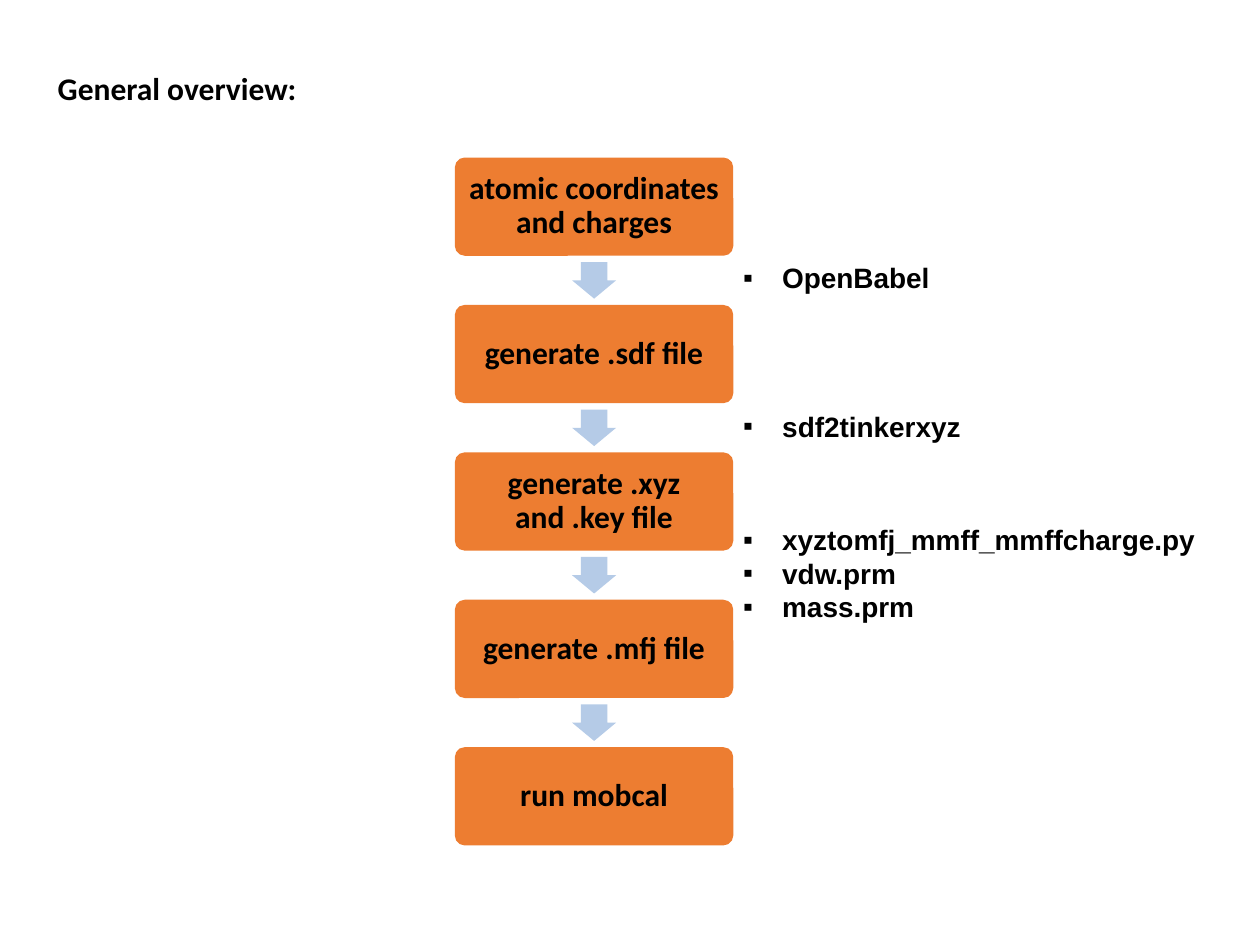
from dataclasses import dataclass

from lxml import etree
from pptx import Presentation
from pptx import util as u
from pptx.dml.color import RGBColor
from pptx.enum import shapes, text
from pptx.oxml.ns import qn

ORANGE = RGBColor(0xED, 0x7D, 0x31)
PALE_BLUE = RGBColor(0xB5, 0xCB, 0xE7)
BLACK = RGBColor(0, 0, 0)

# Grid of the flow chart, in inches
COLUMN_LEFT, COLUMN_WIDTH = 3.61, 2.21
FIRST_ROW, ROW_PITCH, STEP_HEIGHT = 1.25, 1.17, 0.78
ARROW_LENGTH, ARROW_WIDTH = 0.29, 0.35
TOOLS_LEFT, BULLET_INDENT = 5.8, 0.31


@dataclass(frozen=True)
class Step:
    lines: tuple[str, ...]


@dataclass(frozen=True)
class ToolList:
    top: float
    width: float
    height: float
    names: tuple[str, ...]


STEPS = (
    Step(("atomic coordinates and charges",)),
    Step(("generate .sdf file",)),
    Step(("generate .xyz", "and .key file")),
    Step(("generate .mfj file",)),
    Step(("run mobcal",)),
)
TOOL_LISTS = (
    ToolList(2.02, 1.7, 0.37, ("OpenBabel",)),
    ToolList(3.2, 1.95, 0.37, ("sdf2tinkerxyz",)),
    ToolList(4.1, 3.84, 0.91, ("xyztomfj_mmff_mmffcharge.py", "vdw.prm", "mass.prm")),
)


def add_run(paragraph, words: str, font_name: str, size: int) -> None:
    run = paragraph.add_run()
    run.text = words
    run.font.name = font_name
    run.font.size = u.Pt(size)
    run.font.bold = True
    run.font.color.rgb = BLACK


def add_bullet(paragraph) -> None:
    properties = paragraph._p.get_or_add_pPr()
    properties.set("marL", str(u.Inches(BULLET_INDENT)))
    properties.set("indent", str(-u.Inches(BULLET_INDENT)))
    etree.SubElement(properties, qn("a:buFont")).set("typeface", "Arial")
    etree.SubElement(properties, qn("a:buChar")).set("char", "▪")


def add_label(slide, left: float, top: float, width: float, height: float):
    """Add an unwrapped text box that fits its text, and return its text frame."""
    box = slide.shapes.add_textbox(*map(u.Inches, (left, top, width, height)))
    frame = box.text_frame
    frame.word_wrap = False
    frame.auto_size = text.MSO_AUTO_SIZE.SHAPE_TO_FIT_TEXT
    return frame


def add_filled_shape(slide, kind, left: float, top: float, width: float,
                     height: float, color: RGBColor):
    shape = slide.shapes.add_shape(kind, *map(u.Inches, (left, top, width, height)))
    shape.shadow.inherit = False
    shape.fill.solid()
    shape.fill.fore_color.rgb = color
    shape.line.fill.background()
    return shape


def draw_step(slide, step: Step, top: float) -> None:
    shape = add_filled_shape(slide, shapes.MSO_SHAPE.ROUNDED_RECTANGLE, COLUMN_LEFT,
                             top, COLUMN_WIDTH, STEP_HEIGHT, ORANGE)
    shape.adjustments[0] = 0.1
    frame = shape.text_frame
    frame.word_wrap = True
    frame.vertical_anchor = text.MSO_ANCHOR.MIDDLE
    frame.margin_left = frame.margin_right = u.Inches(0.07)
    frame.margin_top = frame.margin_bottom = u.Inches(0.07)
    paragraph = frame.paragraphs[0]
    paragraph.alignment = text.PP_ALIGN.CENTER
    paragraph.line_spacing = 0.9
    for index, line in enumerate(step.lines):
        if index:
            paragraph.add_line_break()
        add_run(paragraph, line, "Calibri", 18)


def draw_arrow(slide, step_top: float) -> None:
    """Point down from the middle of the gap below a step."""
    center_x = COLUMN_LEFT + COLUMN_WIDTH / 2
    center_y = step_top + (STEP_HEIGHT + ROW_PITCH) / 2
    arrow = add_filled_shape(slide, shapes.MSO_SHAPE.RIGHT_ARROW,
                             center_x - ARROW_LENGTH / 2, center_y - ARROW_WIDTH / 2,
                             ARROW_LENGTH, ARROW_WIDTH, PALE_BLUE)
    arrow.rotation = 90
    arrow.adjustments[0] = 0.6
    arrow.adjustments[1] = 0.5


def draw_tools(slide, tools: ToolList) -> None:
    frame = add_label(slide, TOOLS_LEFT, tools.top, tools.width, tools.height)
    for index, name in enumerate(tools.names):
        paragraph = frame.add_paragraph() if index else frame.paragraphs[0]
        add_bullet(paragraph)
        add_run(paragraph, name, "Arial", 16)


def main() -> None:
    presentation = Presentation()
    presentation.slide_width = u.Inches(10)
    presentation.slide_height = u.Inches(7.5)
    slide = presentation.slides.add_slide(presentation.slide_layouts[6])

    heading = add_label(slide, 0.36, 0.5, 2.11, 0.4)
    add_run(heading.paragraphs[0], "General overview:", "Calibri", 18)
    for row, step in enumerate(STEPS):
        top = FIRST_ROW + row * ROW_PITCH
        draw_step(slide, step, top)
        if row < len(STEPS) - 1:
            draw_arrow(slide, top)
    for tools in TOOL_LISTS:
        draw_tools(slide, tools)

    presentation.save("out.pptx")


if __name__ == "__main__":
    main()
